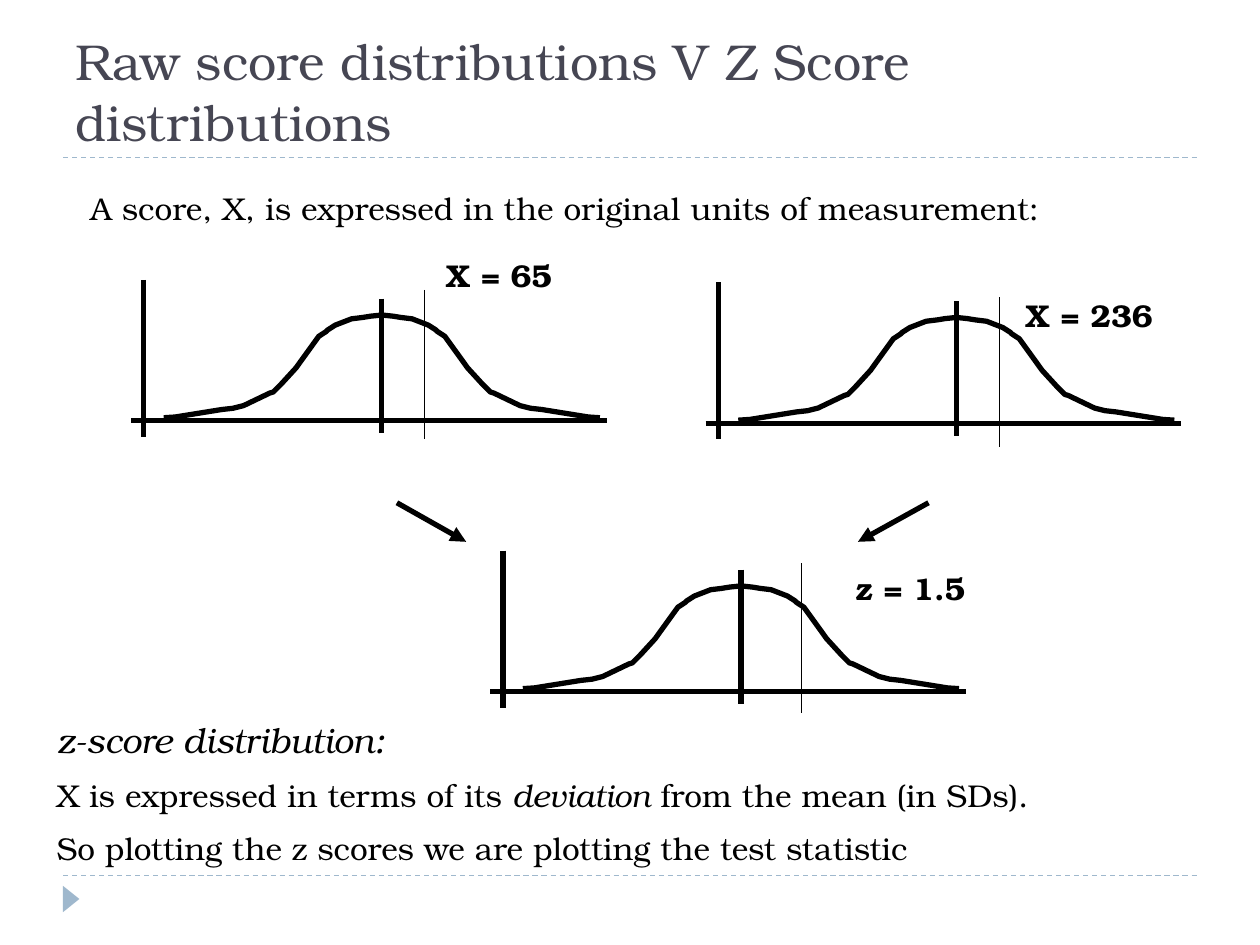
from lxml.etree import SubElement
from pptx import Presentation
from pptx.dml.color import RGBColor
from pptx.enum.dml import MSO_LINE
from pptx.enum.shapes import MSO_CONNECTOR, MSO_SHAPE
from pptx.enum.text import MSO_ANCHOR
from pptx.oxml.ns import qn
from pptx.util import Pt

BLACK = RGBColor(0x00, 0x00, 0x00)
SLATE = RGBColor(0x46, 0x46, 0x53)
BLUE = RGBColor(0x9F, 0xB8, 0xCD)
FONT = "TeX Gyre Bonum"

# Right half of the bell, as points right of and below its peak
HALF_BELL = [
    (0, 0), (6.5, 0.7), (10.8, 1.4), (17.3, 2.2), (26.6, 5.8), (31, 8.6),
    (31.7, 9.4), (36, 12.2), (46, 26), (49, 30.2), (57.6, 39.6),
    (60.5, 42.5), (62, 44), (64, 44.6), (79, 51.8), (85, 53.3),
    (91.4, 54), (109.4, 56.9), (118, 58.3), (124.6, 58.7),
]
BELL_HEIGHT = 60.5
SCORE_HEIGHT = 85.5

# Mean x, baseline y, score x, score top, label, label left, label top
DISTRIBUTIONS = [
    (218.2, 240.5, 242.6, 165.6, "X = 65", 247.7, 142.6),
    (546.5, 241.9, 571, 169.9, "X = 236", 578.9, 165.6),
    (423.4, 395.3, 458, 321.8, "z = 1.5", 481.7, 321.8),
]
ARROWS = [(226.8, 287.3, 266.4, 309.6), (530.6, 287.3, 490.3, 309.6)]


def apply_format(target, values):
    for name, value in values.items():
        setattr(target, name, value)


class SlideBuilder:
    def __init__(self, slide):
        self.shapes = slide.shapes
        self.font = {"name": FONT, "size": Pt(18), "bold": False, "italic": False}

    def line(self, x1, y1, x2, y2, width=3, color=BLACK, dash=None, arrow=False):
        sp = self.shapes.add_connector(
            MSO_CONNECTOR.STRAIGHT, Pt(x1), Pt(y1), Pt(x2), Pt(y2))
        apply_format(sp.line, {"width": Pt(width), "dash_style": dash})
        sp.line.color.rgb = color
        if arrow:
            SubElement(sp.line._get_or_add_ln(), qn("a:tailEnd"), type="triangle")
        SubElement(sp._element.spPr, qn("a:effectLst"))

    def half_bell(self, x, y, side):
        """Draw one half of a bell from its peak; side is -1 (left) or 1."""
        start, *rest = [(Pt(x + side * dx), Pt(y + dy)) for dx, dy in HALF_BELL]
        builder = self.shapes.build_freeform(*start)
        builder.add_line_segments(rest, close=False)
        sp = builder.convert_to_shape()
        sp.shadow.inherit = False
        sp.fill.background()
        sp.line.width = Pt(3)
        sp.line.color.rgb = BLACK

    def text(self, x, y, w, h, paragraphs, color=BLACK, wrap=True,
             anchor=MSO_ANCHOR.TOP, gap=9):
        """Add paragraphs, each a list of (text, format values) runs."""
        tf = self.shapes.add_textbox(Pt(x), Pt(y), Pt(w), Pt(h)).text_frame
        apply_format(tf, {"word_wrap": wrap, "vertical_anchor": anchor})
        for i, runs in enumerate(paragraphs):
            p = tf.add_paragraph() if i else tf.paragraphs[0]
            if i:
                p.space_before = Pt(gap)
            for content, style in runs:
                r = p.add_run()
                r.text = content
                apply_format(r.font, {**self.font, **style})
                r.font.color.rgb = color

    def triangle(self, x, y, w, h, rotation):
        sp = self.shapes.add_shape(
            MSO_SHAPE.ISOSCELES_TRIANGLE, Pt(x), Pt(y), Pt(w), Pt(h))
        sp.rotation = rotation
        sp.shadow.inherit = False
        sp.fill.solid()
        sp.fill.fore_color.rgb = BLUE
        sp.line.fill.background()

    def distribution(self, mean, base, score, score_top, label, label_x, label_y):
        """Draw a bell curve with its axes, mean line and marked score."""
        self.line(mean - 143.3, base, mean + 128.5, base)
        for side in (-1, 1):
            self.half_bell(mean, base - BELL_HEIGHT, side)
        self.line(mean, base - 69.8, mean, base + 7.2)
        self.line(mean - 136, base - 80.6, mean - 136, base + 9.2)
        self.line(score, score_top, score, score_top + SCORE_HEIGHT, width=0.75)
        self.text(label_x, label_y, 112.3, 28.8, [[(label, {"bold": True})]])


def main():
    prs = Presentation()
    prs.slide_width, prs.slide_height = Pt(720), Pt(540)
    s = SlideBuilder(prs.slides.add_slide(prs.slide_layouts[6]))

    for y in (500.4, 90):
        s.line(36, y, 684, y, width=0.75, color=BLUE, dash=MSO_LINE.DASH)
    s.triangle(33.1, 509, 15.1, 9.4, rotation=90)

    s.text(36, 18, 648, 72,
           [[("Raw score distributions V Z Score distributions", {"size": Pt(28.8)})]],
           color=SLATE, anchor=MSO_ANCHOR.BOTTOM)
    s.text(44.6, 104.4, 561.6, 28.8,
           [[("A score, X, is expressed in the original units of measurement:", {})]],
           wrap=False)

    for values in DISTRIBUTIONS:
        s.distribution(*values)
    for ends in ARROWS:
        s.line(*ends, arrow=True)

    italic = {"italic": True}
    s.text(25.2, 406.8, 666, 97.2, [
        [("z-score distribution:", {**italic, "size": Pt(20)})],
        [("X is expressed in terms of its ", {}), ("deviation", italic),
         (" from the mean (in SDs).", {})],
        [("So plotting the z scores we are plotting the test statistic", {})],
    ])
    prs.save("out.pptx")


if __name__ == "__main__":
    main()
